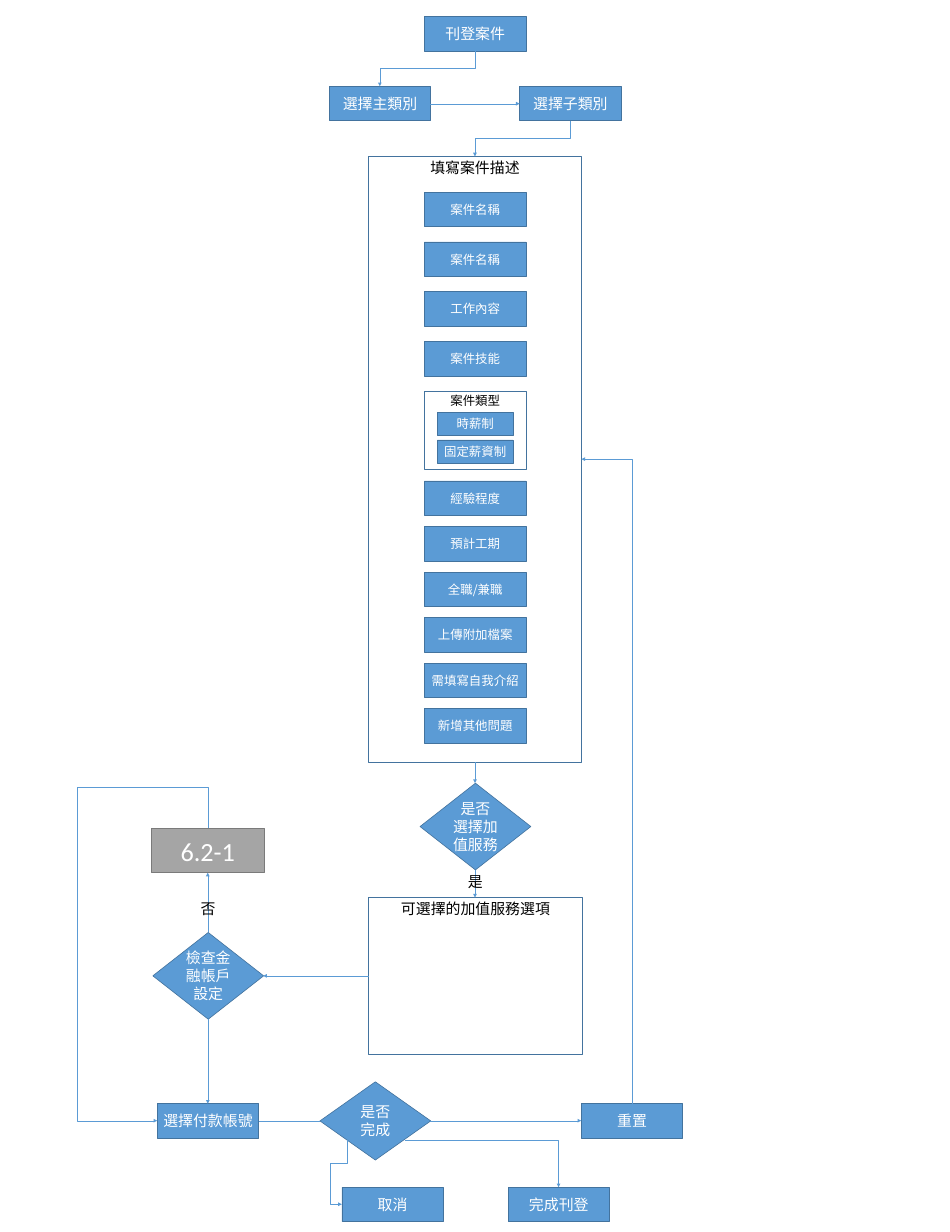
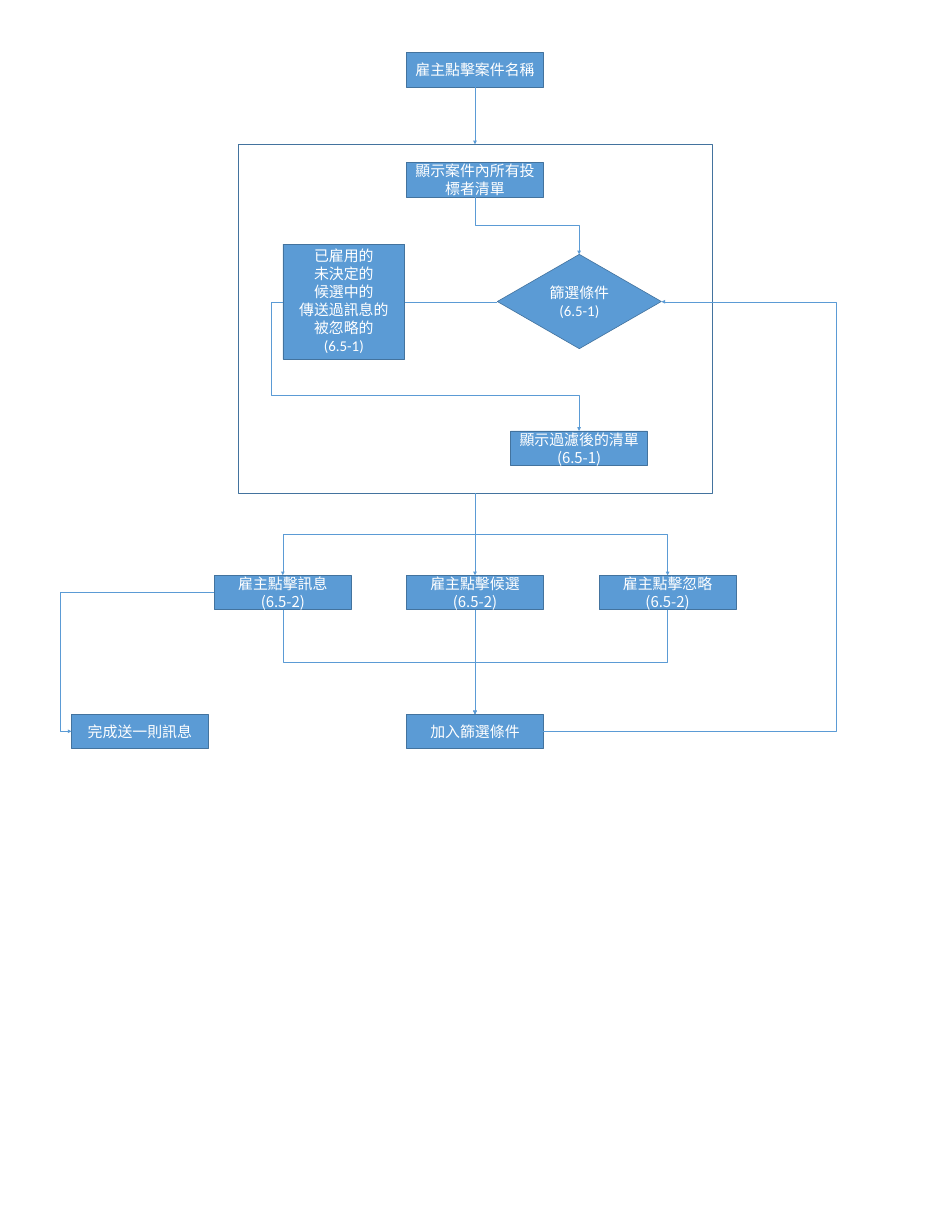
from lxml.etree import SubElement
from pptx import Presentation
from pptx.dml.color import RGBColor
from pptx.enum.shapes import MSO_CONNECTOR, MSO_SHAPE
from pptx.enum.text import MSO_ANCHOR, PP_ALIGN
from pptx.oxml.ns import qn
from pptx.util import Inches, Pt

BLUE = RGBColor(0x5B, 0x9B, 0xD5)
DARK_BLUE = RGBColor(0x43, 0x73, 0x9E)
GRAY = RGBColor(0xA5, 0xA5, 0xA5)
DARK_GRAY = RGBColor(0x7A, 0x7A, 0x7A)
WHITE = RGBColor(0xFF, 0xFF, 0xFF)
BLACK = RGBColor(0, 0, 0)
CJK = "Noto Sans CJK SC"
LATIN = "Calibri"
CENTER = 10.63
STEP_W, STEP_H = 2.27, 0.77
WIDE_W = 3.06


def write(sp, text, size, color, anchor, font=CJK):
    tf = sp.text_frame
    tf.word_wrap = True
    tf.vertical_anchor = anchor
    tf.text = text
    for p in tf.paragraphs:
        p.alignment = PP_ALIGN.CENTER
        p.line_spacing = Pt(round(size * 1.2))
        for r in p.runs:
            r.font.size = Pt(size)
            r.font.name = font
            r.font.color.rgb = color
            SubElement(r.font._element, qn("a:ea"), typeface=CJK)


def node(slide, kind, x, y, w, h, text, size=24, fill=BLUE, line=DARK_BLUE,
         anchor=MSO_ANCHOR.MIDDLE, font=CJK):
    sp = slide.shapes.add_shape(kind, Inches(x), Inches(y), Inches(w), Inches(h))
    sp.shadow.inherit = False
    if fill is None:
        sp.fill.background()
    else:
        sp.fill.solid()
        sp.fill.fore_color.rgb = fill
    sp.line.color.rgb = line
    sp.line.width = Pt(1)
    if text:
        write(sp, text, size, BLACK if fill is None else WHITE, anchor, font)


def step(slide, x, y, text, w=STEP_W, h=STEP_H, **style):
    node(slide, MSO_SHAPE.RECTANGLE, x, y, w, h, text, **style)


def decision(slide, x, y, w, h, text, **style):
    node(slide, MSO_SHAPE.DIAMOND, x, y, w, h, text, **style)


def frame(slide, x, y, w, h, text="", size=24):
    node(slide, MSO_SHAPE.RECTANGLE, x, y, w, h, text, size, fill=None,
         anchor=MSO_ANCHOR.TOP)


def label(slide, x, y, text):
    sp = slide.shapes.add_textbox(Inches(x), Inches(y), Inches(STEP_W), Inches(STEP_H))
    write(sp, text, 24, BLACK, MSO_ANCHOR.MIDDLE)


def bend(c, points):
    start, end = points[0], points[-1]
    dx, dy = end[0] - start[0], end[1] - start[1]
    vertical = start[0] == points[1][0]
    w, h = (abs(dy), abs(dx)) if vertical else (abs(dx), abs(dy))
    c.left = Inches((start[0] + end[0] - w) / 2)
    c.top = Inches((start[1] + end[1] - h) / 2)
    c.width, c.height = Inches(w), Inches(h)
    xfrm = c._element.spPr.find(qn("a:xfrm"))
    flip_h, flip_v = (dy > 0, dx < 0) if vertical else (dx < 0, dy < 0)
    xfrm.set("flipH", str(int(flip_h)))
    xfrm.set("flipV", str(int(flip_v)))
    if vertical:
        xfrm.set("rot", str(270 * 60000))
    segments = len(points) - 1
    geom = c._element.spPr.find(qn("a:prstGeom"))
    geom.set("prst", f"bentConnector{segments}")
    for i in range(1, segments - 1):
        axis = (i + vertical + 1) % 2
        ratio = (points[i][axis] - start[axis]) / (end[axis] - start[axis])
        SubElement(geom.find(qn("a:avLst")), qn("a:gd"), name=f"adj{i}",
                   fmla=f"val {round(ratio * 100000)}")


def flow(slide, *points, arrow=True):
    bent = len(points) > 2
    kind = MSO_CONNECTOR.ELBOW if bent else MSO_CONNECTOR.STRAIGHT
    ends = [Inches(v) for v in points[0] + points[-1]]
    c = slide.shapes.add_connector(kind, *ends)
    if bent:
        bend(c, points)
    c.line.color.rgb = BLUE
    c.line.width = Pt(0.5)
    if arrow:
        SubElement(c.line._get_or_add_ln(), qn("a:tailEnd"), type="triangle")
    SubElement(c._element.spPr, qn("a:effectLst"))


def drop(slide, x1, y1, x2, y2):
    middle = (y1 + y2) / 2
    flow(slide, (x1, y1), (x1, middle), (x2, middle), (x2, y2))


def posting_slide(prs):
    s = prs.slides.add_slide(prs.slide_layouts[6])
    x = 9.5
    step(s, x, 0.37, "刊登案件")
    step(s, 7.37, 1.93, "選擇主類別")
    step(s, 11.63, 1.93, "選擇子類別")
    drop(s, CENTER, 1.13, 8.5, 1.93)
    flow(s, (9.63, 2.32), (11.63, 2.32))
    frame(s, 8.25, 3.5, 4.76, 13.55, "填寫案件描述")
    drop(s, 12.77, 2.7, CENTER, 3.5)

    for i, text in enumerate(["案件名稱", "案件名稱", "工作內容", "案件技能"]):
        step(s, x, 4.3 + i * 1.113, text, size=20)
    frame(s, x, 8.75, STEP_W, 1.76, "案件類型", 20)
    for i, text in enumerate(["時薪制", "固定薪資制"]):
        step(s, 9.79, 9.22 + i * 0.62, text, 1.69, 0.52, size=20)
    details = ["經驗程度", "預計工期", "全職/兼職", "上傳附加檔案",
               "需填寫自我介紹", "新增其他問題"]
    for i, text in enumerate(details):
        step(s, x, 10.76 + i * 1.018, text, size=20)

    frame(s, 8.25, 20.08, 4.78, 3.51, "可選擇的加值服務選項")
    decision(s, 7.16, 24.2, 2.48, 1.75, "是否\n完成")
    flow(s, (CENTER, 17.05), (CENTER, 17.52))
    step(s, 13.01, 24.69, "重置")
    flow(s, (9.63, 25.07), (13.01, 25.07))
    flow(s, (14.15, 24.69), (14.15, 10.27), (13.01, 10.27))
    decision(s, 9.4, 17.52, 2.48, 1.94, "是否\n選擇加值服務")
    flow(s, (CENTER, 19.47), (CENTER, 20.08))
    label(s, x, 19.34, "是")

    decision(s, 3.42, 20.86, 2.48, 1.94, "檢查金融帳戶設定")
    flow(s, (8.25, 21.83), (5.89, 21.83))
    flow(s, (4.65, 20.86), (4.65, 19.52))
    step(s, 3.39, 18.53, "6.2-1", 2.52, 0.99, size=42.2, fill=GRAY,
         line=DARK_GRAY, font=LATIN)
    label(s, 3.52, 19.93, "否")
    step(s, 3.52, 24.69, "選擇付款帳號")
    flow(s, (4.65, 22.8), (4.65, 24.69))
    flow(s, (5.79, 25.07), (7.16, 25.07), arrow=False)
    flow(s, (4.65, 18.53), (4.65, 17.61), (1.73, 17.61), (1.73, 25.07), (3.52, 25.07))
    flow(s, (9.06, 25.51), (12.5, 25.51), (12.5, 26.56))
    step(s, 11.37, 26.56, "完成刊登")
    step(s, 7.65, 26.56, "取消")
    flow(s, (7.77, 25.51), (7.77, 26.03), (7.4, 26.03), (7.4, 26.94), (7.65, 26.94))


def bidders_slide(prs):
    s = prs.slides.add_slide(prs.slide_layouts[6])
    x = 9.1
    step(s, x, 1.18, "雇主點擊案件名稱", WIDE_W)
    flow(s, (CENTER, 1.95), (CENTER, 3.23))
    step(s, x, 3.64, "顯示案件內所有投標者清單", WIDE_W)
    decision(s, 11.13, 5.69, 3.67, 2.11, "篩選條件\v(6.5-1)", font=LATIN)
    statuses = ["已雇用的", "未決定的", "候選中的", "傳送過訊息的", "被忽略的", "(6.5-1)"]
    step(s, 6.33, 5.46, "\n".join(statuses), 2.73, 2.58,
         anchor=MSO_ANCHOR.TOP, font=LATIN)
    flow(s, (11.13, 6.75), (9.06, 6.75), arrow=False)
    step(s, 11.43, 9.64, "顯示過濾後的清單\v(6.5-1)", WIDE_W)
    flow(s, (6.33, 6.75), (6.08, 6.75), (6.08, 8.84), (12.96, 8.84), (12.96, 9.64))
    frame(s, 5.34, 3.23, 10.59, 7.8)
    drop(s, CENTER, 4.4, 12.96, 5.69)

    for offset, text in [(-4.3, "訊息"), (0, "候選"), (4.31, "忽略")]:
        step(s, x + offset, 12.87, f"雇主點擊{text}\v(6.5-2)", WIDE_W)
        middle = CENTER + offset
        if offset:
            drop(s, CENTER, 11.03, middle, 12.87)
            drop(s, middle, 13.64, CENTER, 15.98)
        else:
            flow(s, (CENTER, 11.03), (CENTER, 12.87))
            flow(s, (CENTER, 13.64), (CENTER, 15.98))

    step(s, x, 15.98, "加入篩選條件", WIDE_W)
    flow(s, (12.16, 16.36), (18.71, 16.36), (18.71, 6.75), (14.8, 6.75))
    step(s, 1.6, 15.98, "完成送一則訊息", WIDE_W)
    flow(s, (4.8, 13.25), (1.35, 13.25), (1.35, 16.36), (1.6, 16.36))


def main():
    prs = Presentation()
    prs.slide_width = Inches(21.26)
    prs.slide_height = Inches(27.56)
    posting_slide(prs)
    bidders_slide(prs)
    prs.save("out.pptx")


main()
